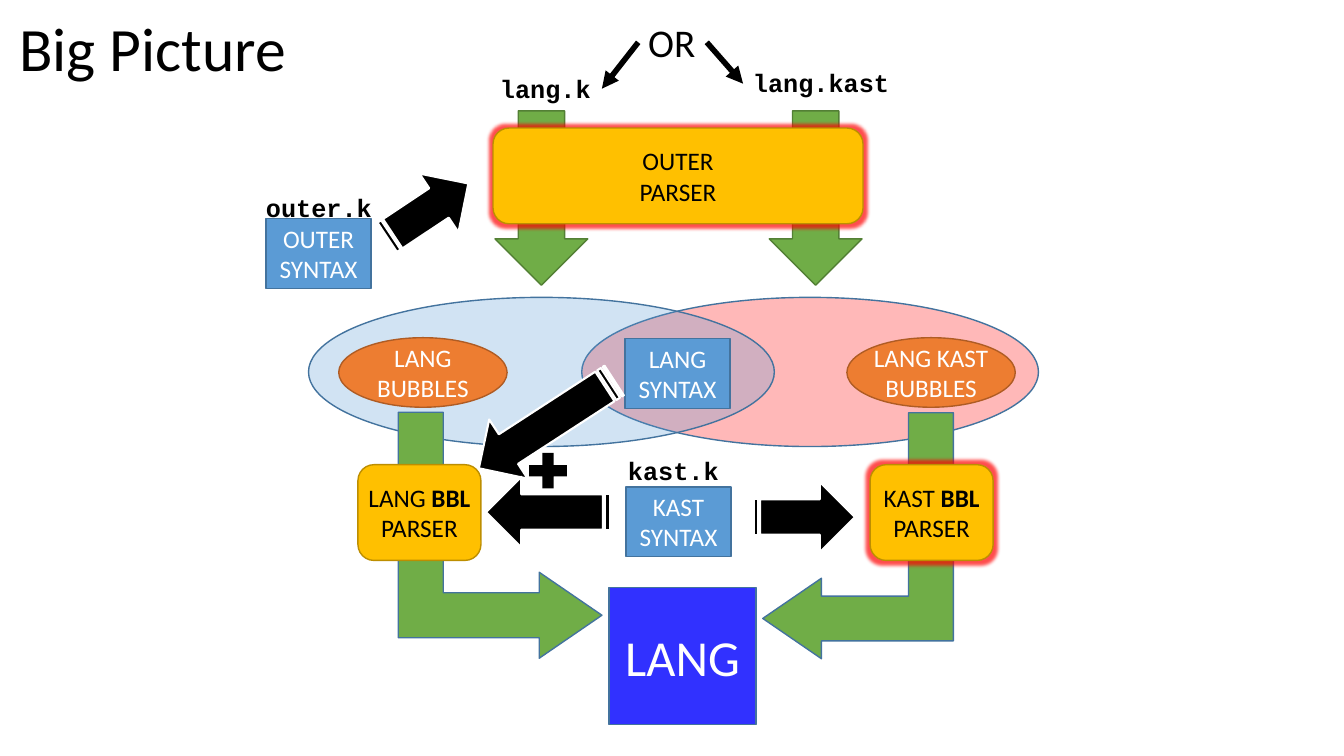
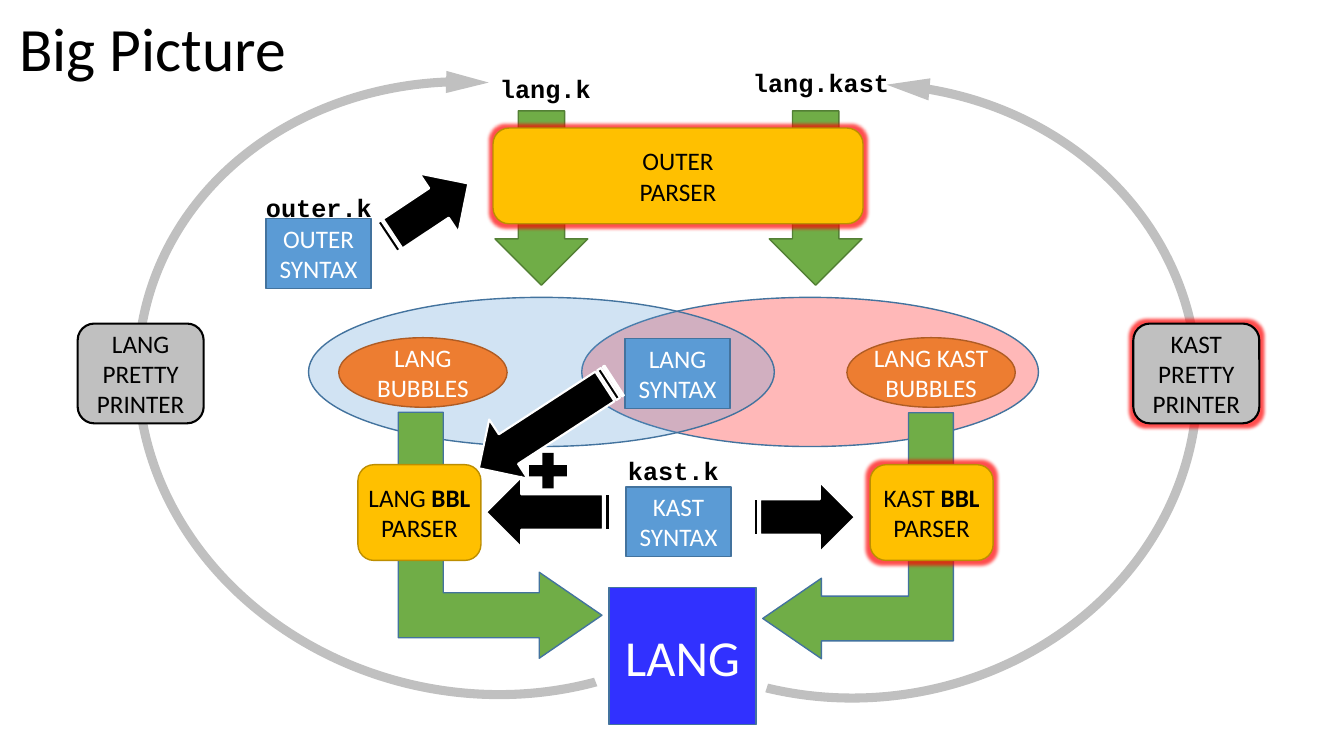
from pptx import Presentation
from pptx import util as u
from pptx.dml.color import RGBColor
from pptx.enum import shapes, text
from pptx.oxml import parse_xml
from pptx.oxml.ns import nsdecls, qn

INK = {
    "black": "000000", "white": "FFFFFF", "red": "FF0000", "blue": "5B9BD5",
    "navy": "43739E", "vivid": "3131FF", "green": "70AD47", "moss": "538035",
    "orange": "ED7D31", "rust": "AF5C24", "gold": "FFC000", "ochre": "BD8E00",
    "gray": "C0C0C0",
}
SANS, MONO = "Calibri", "Courier New"
KIND = shapes.MSO_SHAPE


def tone(name):
    return RGBColor.from_string(INK[name])


def write(frame, lines, size=18, font=SANS, color="white", bold=False,
          align="CENTER", wrap=True, grow=False):
    """Fill a text frame; words after a * in a line are bold."""
    frame.word_wrap = wrap
    fit = text.MSO_AUTO_SIZE
    frame.auto_size = fit.SHAPE_TO_FIT_TEXT if grow else fit.NONE
    frame.vertical_anchor = text.MSO_ANCHOR.TOP if grow else text.MSO_ANCHOR.MIDDLE
    for i, line in enumerate(lines):
        para = frame.add_paragraph() if i else frame.paragraphs[0]
        para.alignment = getattr(text.PP_ALIGN, align)
        plain, _, strong = line.partition("*")
        for words, heavy in ((plain, bold), (strong, True)):
            if words:
                run = para.add_run()
                run.text = words
                run.font.size = u.Pt(size)
                run.font.name = font
                run.font.bold = heavy
                run.font.color.rgb = tone(color)


def place(item, box):
    item.left, item.top, item.width, item.height = map(u.Inches, box)


def draw(slide, kind, box, fill, line=None, width=1, lines=(), turn=0,
         flip=False, adj=(), alpha=None, glow=False, **style):
    item = slide.shapes.add_shape(kind, *map(u.Inches, box))
    item.shadow.inherit = False
    item.rotation = turn
    for i, value in enumerate(adj):
        item.adjustments[i] = value
    item.fill.solid()
    item.fill.fore_color.rgb = tone(fill)
    if line:
        item.line.color.rgb = tone(line)
        item.line.width = u.Pt(width)
    else:
        item.line.fill.background()
    props = item._element.spPr
    if flip:
        props.find(qn("a:xfrm")).set("flipV", "1")
    if alpha:
        props.find(qn("a:solidFill"))[0].append(parse_xml(
            f'<a:alpha {nsdecls("a")} val="{alpha * 1000}"/>'))
    if glow:
        props.find(qn("a:effectLst")).append(parse_xml(
            f'<a:glow {nsdecls("a")} rad="{u.Pt(5)}"><a:srgbClr val="{INK["red"]}">'
            '<a:alpha val="70000"/></a:srgbClr></a:glow>'))
    if lines:
        write(item.text_frame, lines, **style)
    return item


def label(slide, box, words, **style):
    item = slide.shapes.add_textbox(*map(u.Inches, box))
    write(item.text_frame, [words], align="LEFT", wrap=False, grow=True,
          **{"color": "black", **style})


def file(slide, x, y, words, width):
    label(slide, (x, y, width, 0.4), words, font=MONO, bold=True)


def syntax(slide, x, y, word):
    draw(slide, KIND.RECTANGLE, (x, y, 1.04, 0.69), "blue", "navy",
         lines=[word, "SYNTAX"])


def parser(slide, box, lines, **look):
    draw(slide, KIND.ROUNDED_RECTANGLE, box, "gold", "ochre", lines=lines,
         color="black", **look)


def feed(slide, box, turn=0):
    draw(slide, KIND.STRIPED_RIGHT_ARROW, box, "black", "white", 1.5, turn=turn)


def half(slide, x, y, width, hue, names, spots, bend, adj, lit=False):
    """One language: its set, its bubbles, their parser and the way down."""
    draw(slide, KIND.OVAL, (x, y, width, 1.48), hue, "navy", alpha=28)
    left, top, wide, high = bend
    draw(slide, KIND.BENT_UP_ARROW, (x + left, y + top, wide, high), "green",
         "navy", turn=90, flip=lit, adj=adj)
    draw(slide, KIND.OVAL, (x + spots[0], y + 0.4, 1.67, 0.69), "orange",
         "rust", lines=[names[0], "BUBBLES"], wrap=False)
    parser(slide, (x + spots[1], y + 1.66, 1.22, 0.95),
           [names[1] + " *BBL", "PARSER"], wrap=False, glow=lit)


def outer(slide, x, y):
    for shift in (0.02, 2.74):
        draw(slide, KIND.DOWN_ARROW, (x + shift, y - 0.17, 0.92, 1.73),
             "green", "moss")
    parser(slide, (x, y, 3.67, 0.95), ["OUTER", "PARSER"], glow=True)
    file(slide, x - 0.03, y - 0.59, "lang.k", 1.11)
    file(slide, x + 2.48, y - 0.65, "lang.kast", 1.56)


def sources(slide, x, y):
    """The outer syntax and its arrow."""
    file(slide, x - 0.1, y - 0.31, "outer.k", 1.26)
    syntax(slide, x, y, "OUTER")
    feed(slide, (x + 1.08, y - 0.42, 1.01, 0.7), 326.4)


def core(slide, x, y):
    """The middle column and the arrows that leave it."""
    syntax(slide, x, y, "LANG")
    file(slide, x - 0.07, y + 1.11, "kast.k", 1.11)
    syntax(slide, x + 0.01, y + 1.47, "KAST")
    draw(slide, KIND.RECTANGLE, (x - 0.16, y + 2.47, 1.46, 1.36), "vivid",
         "navy", lines=["LANG"], size=36)
    feed(slide, (x + 1.23, y + 1.42, 1.05, 0.7))
    feed(slide, (x - 1.58, y + 0.5, 1.6, 0.7), 147)
    feed(slide, (x - 1.38, y + 1.37, 1.27, 0.7), 180)
    draw(slide, KIND.MATH_PLUS, (x - 1.02, y + 1.07, 0.51, 0.48), "black")


def choice(slide, x, y):
    """The word OR with an arrow to each side."""
    label(slide, (x, y, 0.68, 0.57), "OR", size=28)
    for start, end, drop in ((0, -0.36, 0.75), (0.68, 1.04, 0.7)):
        ends = (x + start, y + 0.29, x + end, y + drop)
        link = slide.shapes.add_connector(
            shapes.MSO_CONNECTOR.STRAIGHT, *map(u.Inches, ends))
        link.line.color.rgb = tone("black")
        link.line.width = u.Pt(4)
        link.line._get_or_add_ln().append(
            parse_xml(f'<a:tailEnd {nsdecls("a")} type="triangle"/>'))
        link._element.spPr.append(parse_xml(f'<a:effectLst {nsdecls("a")}/>'))


def loop(slide, box, turn, angles, flip=False):
    """A thin round arrow; angles are head length, end and start in degrees."""
    adj = [0.09 / box[2], *(angle * 0.6 for angle in angles), 0.11 / box[2]]
    draw(slide, KIND.CIRCULAR_ARROW, box, "gray", turn=turn, flip=flip, adj=adj)


def printer(slide, x, y, word, glow=False):
    draw(slide, KIND.ROUNDED_RECTANGLE, (x, y, 1.25, 0.99), "gray", "black",
         1.5, [word, "PRETTY PRINTER"], color="black", glow=glow)


def printers(slide, x, y):
    loop(slide, (x + 0.87, y - 2.89, 6.26, 7.06), 282.7, (7.95, 340.82, 145.96))
    loop(slide, (x + 4.61, y - 2.79, 6.3, 6.92), 263, (7.99, 340.05, 155.55), True)
    printer(slide, x, y, "LANG")
    printer(slide, x + 10.47, y, "KAST", True)


def base(deck):
    """A titled slide with the parts that both slides share."""
    slide = deck.slides.add_slide(deck.slide_layouts[5])
    title = slide.shapes.title
    place(title, (0.09, 0.11, 3, 0.8))
    write(title.text_frame, ["Big Picture"], size=44, color="black", align="LEFT")
    title.text_frame.paragraphs[0].line_spacing = 0.9
    half(slide, 5.77, 2.95, 4.53, "red", ("LANG KAST", "KAST"), (2.63, 2.86),
         (1.52, 1.42, 2.44, 1.89), (0.235, 0.211, 0.308), True)
    half(slide, 3.06, 2.95, 4.62, "blue", ("LANG", "LANG"), (0.3, 0.49),
         (0.68, 1.35, 2.44, 2.02), (0.221, 0.211, 0.308))
    outer(slide, 4.89, 1.27)
    sources(slide, 2.64, 2.17)
    core(slide, 6.2, 3.36)
    return slide


def main():
    deck = Presentation()
    deck.slide_width, deck.slide_height = u.Inches(13.33), u.Inches(7.5)
    choice(base(deck), 6.33, 0.13)
    printers(base(deck), 0.77, 3.21)
    deck.save("out.pptx")


if __name__ == "__main__":
    main()
